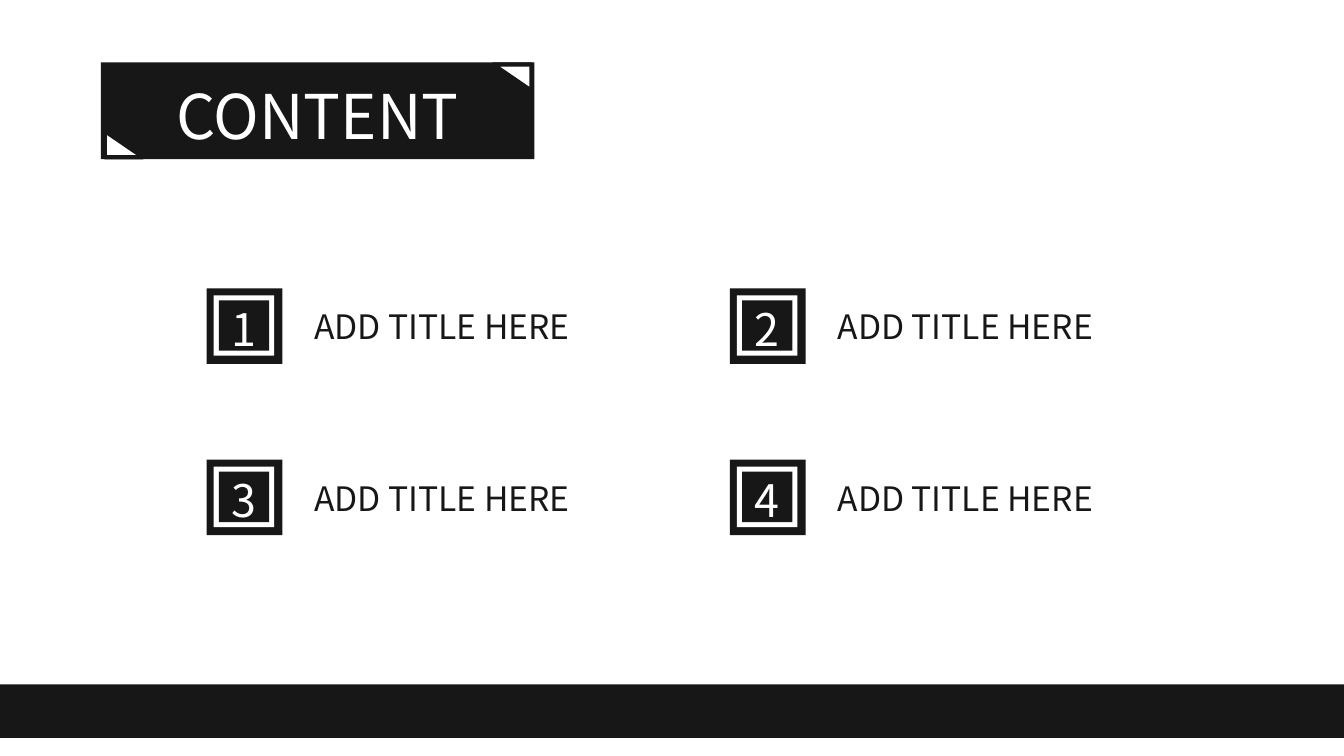
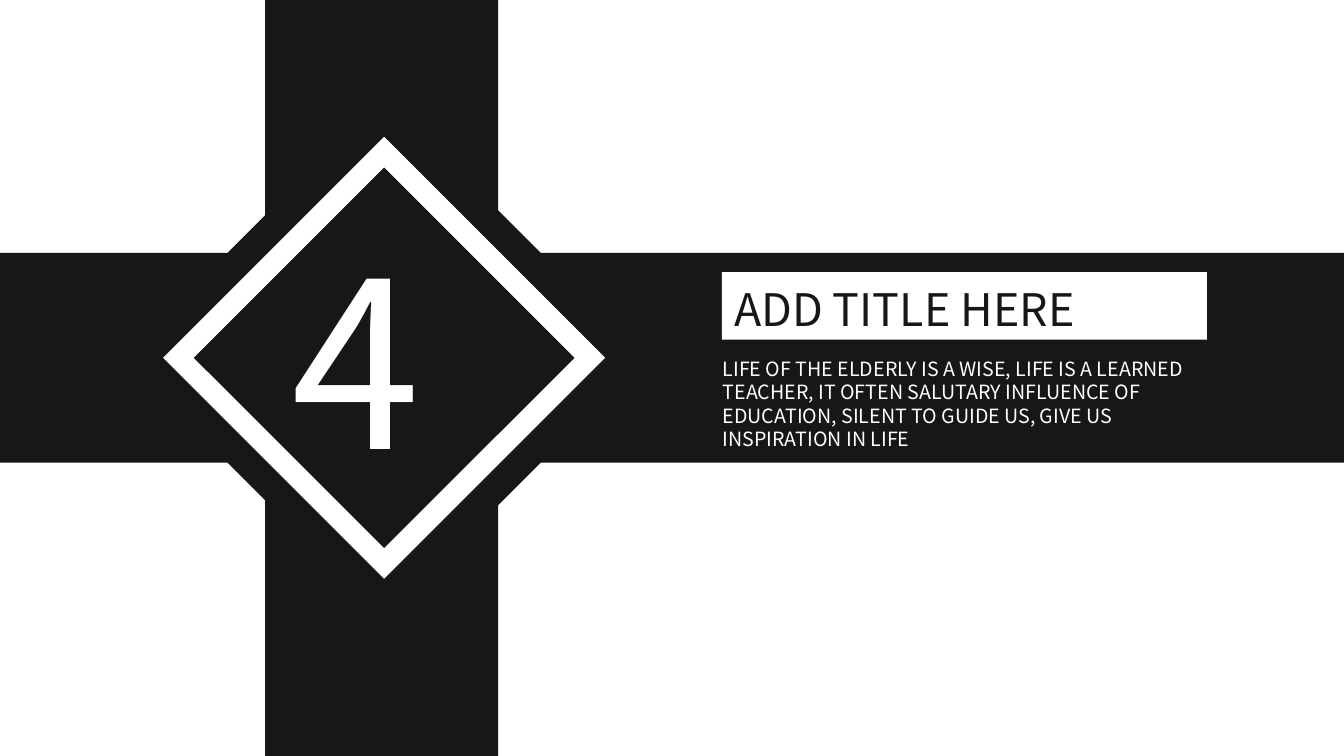
from pptx import Presentation
from pptx.dml.color import RGBColor
from pptx.enum.shapes import MSO_SHAPE
from pptx.enum.text import MSO_ANCHOR, MSO_AUTO_SIZE, PP_ALIGN
from pptx.util import Inches, Pt

RECTANGLE = MSO_SHAPE.RECTANGLE
TRIANGLE = MSO_SHAPE.ISOSCELES_TRIANGLE
LEFT, CENTER, JUSTIFY = PP_ALIGN.LEFT, PP_ALIGN.CENTER, PP_ALIGN.JUSTIFY
TOP = MSO_ANCHOR.TOP
NO_FIT = MSO_AUTO_SIZE.NONE

WIDTH, HEIGHT = 13.33, 7.5
TITLE_ONLY = 5
FONT = "Noto Sans CJK SC"
INK = "181717"
PAPER = "FFFFFF"


def color(hex_text):
    return RGBColor.from_string(hex_text)


class Pages:
    """Holds the deck, its style and the slide being built."""

    def __init__(self):
        self.deck = Presentation()
        self.deck.slide_width = Inches(WIDTH)
        self.deck.slide_height = Inches(HEIGHT)
        self.page = None

    def new_page(self):
        layout = self.deck.slide_layouts[TITLE_ONLY]
        self.page = self.deck.slides.add_slide(layout)
        fill = self.page.background.fill
        fill.solid()
        fill.fore_color.rgb = color(PAPER)

    def shape(self, left, top, width, height, fill=INK, kind=RECTANGLE, turn=0):
        shape = self.page.shapes.add_shape(
            kind, Inches(left), Inches(top), Inches(width), Inches(height))
        shape.shadow.inherit = False
        shape.fill.solid()
        shape.fill.fore_color.rgb = color(fill)
        shape.line.fill.background()
        shape.rotation = turn
        return shape

    def corner(self, left, top, turn=0):
        """Right-angled corner mark with a dark outline."""
        mark = self.shape(left, top, 0.38, 0.26, PAPER, TRIANGLE, turn)
        mark.adjustments[0] = 0
        mark.line.color.rgb = color(INK)
        mark.line.width = Pt(3)

    def set_text(self, box, words, size, ink, align):
        frame = box.text_frame
        frame.word_wrap = True
        frame.auto_size = NO_FIT
        frame.vertical_anchor = TOP
        para = frame.paragraphs[0]
        para.alignment = align
        span = para.add_run()
        span.text = words
        span.font.name = FONT
        span.font.size = Pt(size)
        span.font.color.rgb = color(ink)

    def text(self, left, top, width, height, words, size, ink=PAPER, align=LEFT):
        box = self.page.shapes.add_textbox(
            Inches(left), Inches(top), Inches(width), Inches(height))
        self.set_text(box, words, size, ink, align)

    def title(self, left, top, width, height, words, size, ink, align):
        box = self.page.shapes.title
        box.left, box.top = Inches(left), Inches(top)
        box.width, box.height = Inches(width), Inches(height)
        self.set_text(box, words, size, ink, align)
        # Bring the title in front of its plate
        box.element.getparent().append(box.element)

    def badge(self, left, top, number):
        """Numbered square with a white inner frame."""
        for inset, side, fill in ((0, 0.75, INK), (0.07, 0.6, PAPER), (0.12, 0.5, INK)):
            self.shape(left + inset, top + inset, side, side, fill)
        self.text(left + 0.08, top + 0.08, 0.57, 0.64, str(number), 32, align=CENTER)

    def diamond(self, center_x, center_y, side, fill):
        self.shape(center_x - side / 2, center_y - side / 2, side, side, fill, turn=45)


def content_page(pages):
    pages.new_page()

    # Title plate
    pages.shape(1, 0.62, 4.3, 0.96)
    pages.corner(1.04, 1.3)
    pages.corner(4.89, 0.64, 180)
    pages.title(1.3, 0.72, 3.7, 0.84, "CONTENT", 44, PAPER, CENTER)

    # Two by two grid of entries
    for index in range(4):
        row, column = divmod(index, 2)
        left, top = 2.05 + 5.19 * column, 2.86 + 1.7 * row
        pages.badge(left, top, index + 1)
        pages.text(left + 0.97, top + 0.13, 3.5, 0.5, "ADD TITLE HERE", 24, INK)

    # Bottom band
    pages.shape(0, 6.79, WIDTH, 0.53)


def section_page(pages):
    pages.new_page()

    # Crossing bands
    pages.shape(2.63, 0, 2.31, HEIGHT)
    pages.shape(0, 2.51, WIDTH, 2.08)

    # Section number in nested diamonds
    for side, fill in ((3.67, INK), (3.1, PAPER), (2.67, INK)):
        pages.diamond(3.81, 3.55, side, fill)
    pages.text(2.79, 2.1, 1.75, 2.89, "4", 166)

    # Heading and summary
    pages.text(7.07, 3.49, 4.97, 1.04,
               "LIFE OF THE ELDERLY IS A WISE, LIFE IS A LEARNED TEACHER, "
               "IT OFTEN SALUTARY INFLUENCE OF EDUCATION, SILENT TO GUIDE US, "
               "GIVE US INSPIRATION IN LIFE", 14)
    pages.shape(7.16, 2.7, 4.81, 0.67, PAPER)
    pages.title(7.18, 2.74, 4.75, 0.64, "ADD TITLE HERE", 32, INK, JUSTIFY)


def main():
    pages = Pages()
    content_page(pages)
    section_page(pages)
    pages.deck.save("out.pptx")


if __name__ == "__main__":
    main()
